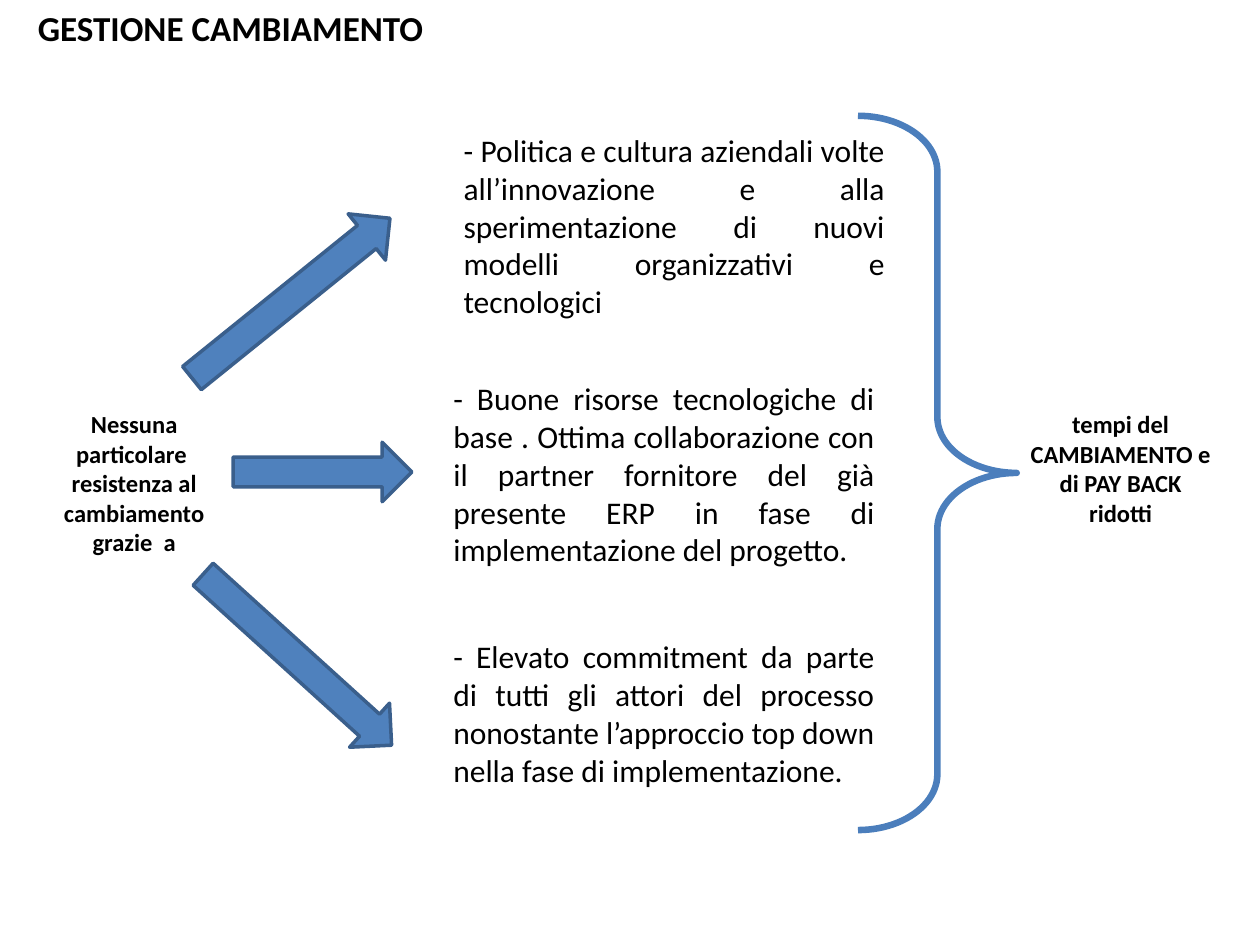
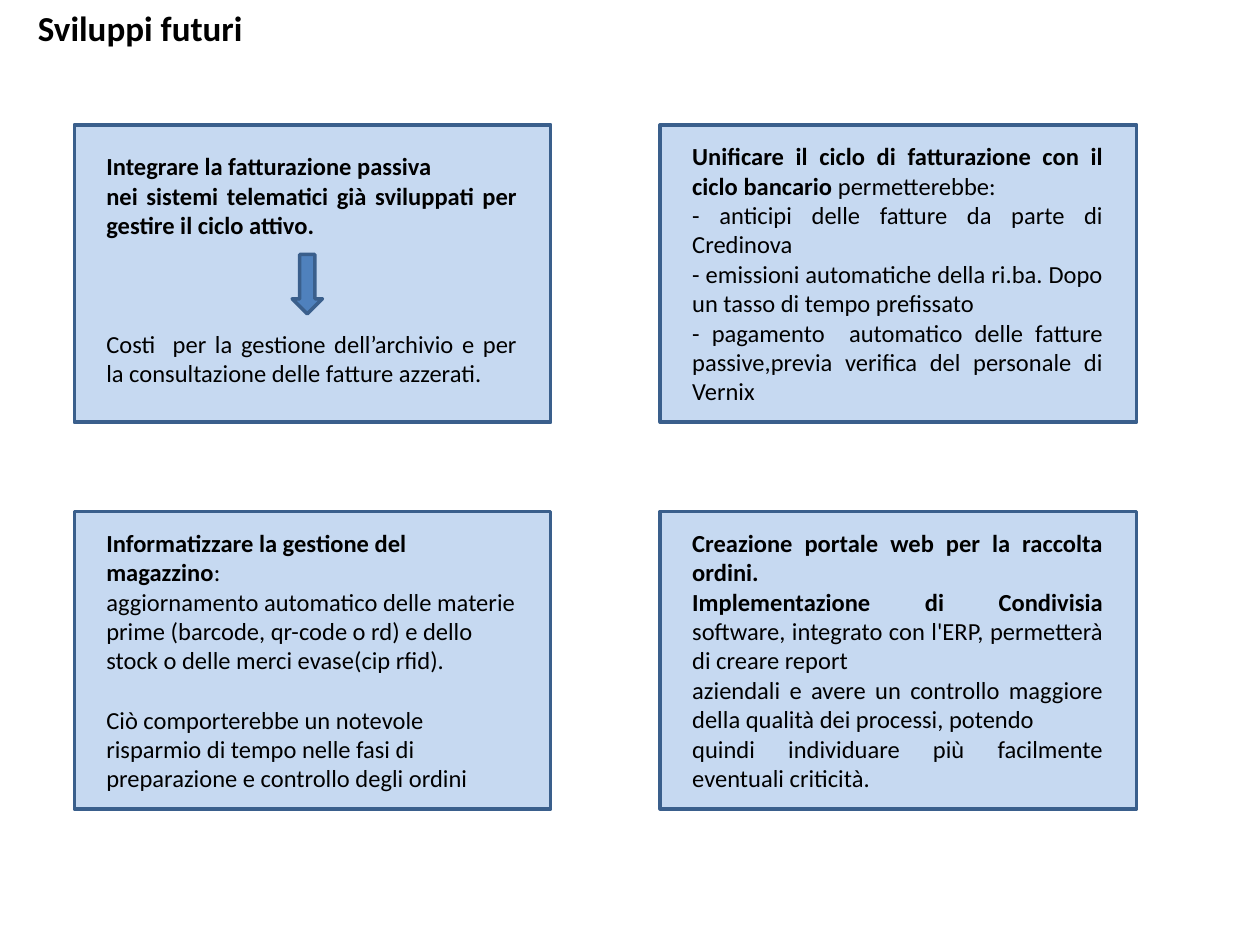
from pptx import Presentation
from pptx.dml.color import RGBColor
from pptx.enum.shapes import MSO_SHAPE
from pptx.enum.text import MSO_ANCHOR, MSO_AUTO_SIZE, PP_ALIGN
from pptx.util import Pt

BLACK = RGBColor(0x00, 0x00, 0x00)
ARROW_BLUE = RGBColor(0x4F, 0x81, 0xBD)
EDGE_BLUE = RGBColor(0x3A, 0x5F, 0x8C)
BRACE_BLUE = RGBColor(0x4B, 0x7E, 0xBC)
PANEL_BLUE = RGBColor(0xC6, 0xD9, 0xF1)
FONT = "Calibri"
LEFT, CENTER, JUSTIFY = PP_ALIGN.LEFT, PP_ALIGN.CENTER, PP_ALIGN.JUSTIFY

PANEL_LEFTS = (42.5, 377.3)
PANEL_TOPS = (71.3, 292.3)
PANEL_WIDTH, PANEL_HEIGHT = 272.2, 170
PANEL_TEXT_WIDTH = 249
PANEL_INSET = 11.2

PANELS = [
    (JUSTIFY, 11.5, 143, [
        (0, [("Integrare la fatturazione passiva", True)]),
        (0, [("nei sistemi telematici già sviluppati per gestire il ciclo attivo.", True)]),
        (51, [("Costi  per la gestione dell’archivio e per la consultazione delle fatture azzerati.", False)]),
    ]),
    (JUSTIFY, 5.8, 160, [
        (0, [("Unificare il ciclo di fatturazione con il ciclo bancario", True),
             (" permetterebbe:", False)]),
        (0, [("- anticipi delle fatture da parte di Credinova", False)]),
        (0, [("- emissioni automatiche della ri.ba. Dopo un tasso di tempo prefissato", False)]),
        (0, [("- pagamento  automatico delle fatture passive,previa verifica del personale di Vernix", False)]),
    ]),
    (LEFT, 5.8, 160, [
        (0, [("Informatizzare la gestione del magazzino", True), (":", False)]),
        (0, [("aggiornamento automatico delle materie prime (barcode, qr-code o rd) e dello "
              "stock o delle merci evase(cip rfid).", False)]),
        (17, [("Ciò comporterebbe un notevole risparmio di tempo nelle fasi di preparazione "
               "e controllo degli ordini", False)]),
    ]),
    (JUSTIFY, 5.8, 160, [
        (0, [("Creazione portale web per la raccolta ordini.", True)]),
        (0, [("Implementazione di Condivisia ", True),
             ("software, integrato con l'ERP, permetterà di creare report", False)]),
        (0, [("aziendali e avere un controllo maggiore della qualità dei processi, potendo", False)]),
        (0, [("quindi individuare più facilmente eventuali criticità.", False)]),
    ]),
]

REASONS = [
    (257.8, 71.3, "- Politica e cultura aziendali volte all’innovazione e alla sperimentazione "
                  "di nuovi modelli organizzativi e tecnologici"),
    (252, 213.1, "- Buone risorse tecnologiche di base . Ottima collaborazione con il partner "
                 "fornitore del già presente ERP in fase di implementazione del progetto."),
    (252, 360.7, "- Elevato commitment da parte di tutti gli attori del processo nonostante "
                 "l’approccio top down nella fase di implementazione."),
]


def place(shape, left, top, width, height):
    shape.left, shape.top = Pt(left), Pt(top)
    shape.width, shape.height = Pt(width), Pt(height)


def write_run(para, text, size, bold):
    span = para.add_run()
    span.text = text
    span.font.name = FONT
    span.font.size = Pt(size)
    span.font.bold = bold
    span.font.color.rgb = BLACK


def add_titled_page(deck, title):
    page = deck.slides.add_slide(deck.slide_layouts[5])
    place(page.shapes.title, 14.4, 0, 674.6, 31.5)
    frame = page.shapes.title.text_frame
    frame.word_wrap = True
    frame.auto_size = MSO_AUTO_SIZE.NONE
    frame.vertical_anchor = MSO_ANCHOR.TOP
    para = frame.paragraphs[0]
    para.alignment = LEFT
    write_run(para, title, 20, True)
    return page


def add_text(page, left, top, width, height, paragraphs, size, alignment):
    box = page.shapes.add_textbox(Pt(left), Pt(top), Pt(width), Pt(height))
    frame = box.text_frame
    frame.word_wrap = True
    frame.auto_size = MSO_AUTO_SIZE.SHAPE_TO_FIT_TEXT
    for index, (gap, spans) in enumerate(paragraphs):
        para = frame.add_paragraph() if index else frame.paragraphs[0]
        para.alignment = alignment
        para.space_before = Pt(gap)
        for text, bold in spans:
            write_run(para, text, size, bold)


def add_figure(page, kind, left, top, width, height, fill, line=EDGE_BLUE, weight=2):
    shape = page.shapes.add_shape(kind, Pt(left), Pt(top), Pt(width), Pt(height))
    shape.shadow.inherit = False
    if fill is None:
        shape.fill.background()
    else:
        shape.fill.solid()
        shape.fill.fore_color.rgb = fill
    shape.line.color.rgb = line
    shape.line.width = Pt(weight)
    return shape


def add_arrow(page, left, top, width, rotation=0):
    arrow = add_figure(page, MSO_SHAPE.RIGHT_ARROW, left, top, width, 34, ARROW_BLUE)
    arrow.rotation = rotation


def build_change_page(deck):
    page = add_titled_page(deck, "GESTIONE CAMBIAMENTO")
    causes = ["Nessuna particolare ", "resistenza al cambiamento", "grazie  a"]
    add_text(page, 14.4, 230.4, 124.6, 92.2,
             [(0, [(cause, True)]) for cause in causes], 14, CENTER)
    add_arrow(page, 133.2, 252.7, 102.2)
    add_arrow(page, 93.6, 153.4, 145.4, 321.1)
    add_arrow(page, 97.2, 360, 145.4, 42.2)
    for left, top, reason in REASONS:
        add_text(page, left, top, 254.9, 116.6, [(0, [(reason, False)])], 18, JUSTIFY)
    brace = add_figure(page, MSO_SHAPE.RIGHT_BRACE, 490.3, 66.2, 90.7, 408.2,
                       None, BRACE_BLUE, 3.75)
    brace.adjustments[0] = 0.352
    brace.adjustments[1] = 0.5
    outcome = "tempi del CAMBIAMENTO e di PAY BACK ridotti"
    add_text(page, 581, 230.4, 118.8, 74.9, [(0, [(outcome, True)])], 14, CENTER)


def build_future_page(deck):
    page = add_titled_page(deck, "Sviluppi futuri")
    for index, (alignment, drop, height, paragraphs) in enumerate(PANELS):
        row, column = divmod(index, 2)
        left, top = PANEL_LEFTS[column], PANEL_TOPS[row]
        add_figure(page, MSO_SHAPE.RECTANGLE, left, top, PANEL_WIDTH, PANEL_HEIGHT, PANEL_BLUE)
        add_text(page, left + PANEL_INSET, top + drop, PANEL_TEXT_WIDTH, height,
                 paragraphs, 14, alignment)
    add_figure(page, MSO_SHAPE.DOWN_ARROW, 167, 145.4, 17.3, 34, ARROW_BLUE)


def main():
    deck = Presentation()
    deck.slide_width, deck.slide_height = Pt(720), Pt(540)
    build_change_page(deck)
    build_future_page(deck)
    deck.save("out.pptx")


main()
